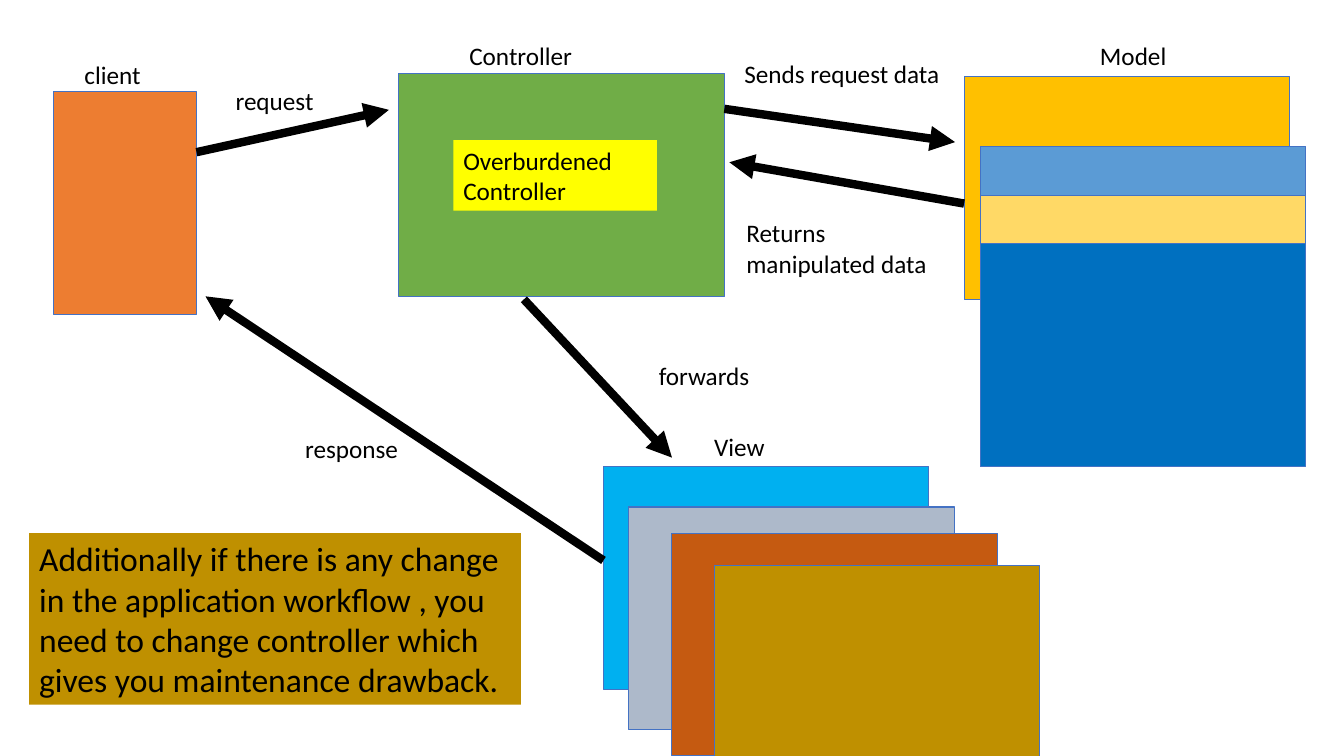
from lxml.etree import SubElement
from pptx import Presentation
from pptx.dml.color import RGBColor
from pptx.enum.shapes import MSO_CONNECTOR, MSO_SHAPE
from pptx.enum.text import MSO_ANCHOR, PP_ALIGN
from pptx.oxml.ns import qn
from pptx.util import Inches, Pt


def color(hex_code):
    return RGBColor.from_string(hex_code)


def write(frame, text, size=18, font="Calibri", ink="000000"):
    frame.word_wrap = True
    frame.vertical_anchor = MSO_ANCHOR.TOP
    paragraph = frame.paragraphs[0]
    paragraph.alignment = PP_ALIGN.LEFT
    run = paragraph.add_run()
    run.text = text
    run.font.size = Pt(size)
    run.font.name = font
    run.font.color.rgb = color(ink)


class Diagram:
    outline = "4472C4"
    outline_width = 0.75
    arrow_ink = "000000"
    arrow_width = 6

    def __init__(self, slide):
        self.shapes = slide.shapes

    def box(self, left, top, width, height, fill, outlined=True):
        shape = self.shapes.add_shape(
            MSO_SHAPE.RECTANGLE, *map(Inches, (left, top, width, height)))
        shape.shadow.inherit = False
        shape.fill.solid()
        shape.fill.fore_color.rgb = color(fill)
        if outlined:
            shape.line.color.rgb = color(self.outline)
            shape.line.width = Pt(self.outline_width)
        else:
            shape.line.fill.background()
        return shape

    def note(self, left, top, width, height, fill, text, **style):
        shape = self.box(left, top, width, height, fill, outlined=False)
        write(shape.text_frame, text, **style)

    def label(self, left, top, width, text, height=0.4):
        textbox = self.shapes.add_textbox(
            *map(Inches, (left, top, width, height)))
        write(textbox.text_frame, text)

    def arrow(self, x1, y1, x2, y2):
        connector = self.shapes.add_connector(
            MSO_CONNECTOR.STRAIGHT, *map(Inches, (x1, y1, x2, y2)))
        connector.line.color.rgb = color(self.arrow_ink)
        connector.line.width = Pt(self.arrow_width)
        SubElement(connector.line._get_or_add_ln(), qn("a:tailEnd"), type="triangle")
        SubElement(connector._element.spPr, qn("a:effectLst"))


def main():
    prs = Presentation()
    prs.slide_width, prs.slide_height = Inches(13.34), Inches(7.5)
    diagram = Diagram(prs.slides.add_slide(prs.slide_layouts[6]))
    panel_width, panel_height = 3.23, 2.21

    # Client, and the first panels of view, model and controller
    diagram.box(0.53, 0.91, 1.42, panel_height, "ED7D31")
    for left, top, fill in [(5.99, 4.63, "00B0F0"),
                            (9.57, 0.76, "FFC000"),
                            (3.96, 0.73, "70AD47")]:
        diagram.box(left, top, panel_width, panel_height, fill)

    # Request and response flow
    for ends in [(1.95, 1.51, 3.86, 1.09),
                 (7.19, 1.08, 9.48, 1.41),
                 (9.57, 2.02, 7.24, 1.61),
                 (5.2, 2.97, 6.67, 4.54),
                 (5.99, 5.56, 2.04, 2.94)]:
        diagram.arrow(*ends)

    # Stacked panels of the model and the view
    for left, top, fill in [(9.73, 1.45, "5B9BD5"),
                            (9.73, 1.94, "FFD966"),
                            (9.73, 2.42, "0070C0"),
                            (6.24, 5.03, "ADB9CA"),
                            (6.67, 5.29, "C55A11"),
                            (7.09, 5.61, "BF9000")]:
        diagram.box(left, top, panel_width, panel_height, fill)

    # Names of the parts and of the steps
    for left, top, width, text in [(10.82, 0.35, 0.93, "Model"),
                                   (4.56, 0.35, 1.29, "Controller"),
                                   (6.99, 4.23, 0.78, "View"),
                                   (0.74, 0.54, 0.85, "client"),
                                   (2.24, 0.8, 1.04, "request"),
                                   (2.93, 4.25, 1.18, "response"),
                                   (6.44, 3.53, 1.22, "forwards"),
                                   (7.29, 0.53, 2.23, "Sends request data")]:
        diagram.label(left, top, width, text)
    diagram.label(7.31, 2.11, 2.18, "Returns manipulated data", height=0.7)

    # Drawbacks
    diagram.note(4.5, 1.39, 2.02, 0.7, "FFFF00", "Overburdened Controller")
    diagram.note(0.29, 5.29, 4.88, 1.7, "BF9000",
                 "Additionally if there is any change in the application "
                 "workflow , you need to change controller which gives you "
                 "maintenance drawback.", size=24)

    prs.save("out.pptx")


if __name__ == "__main__":
    main()
